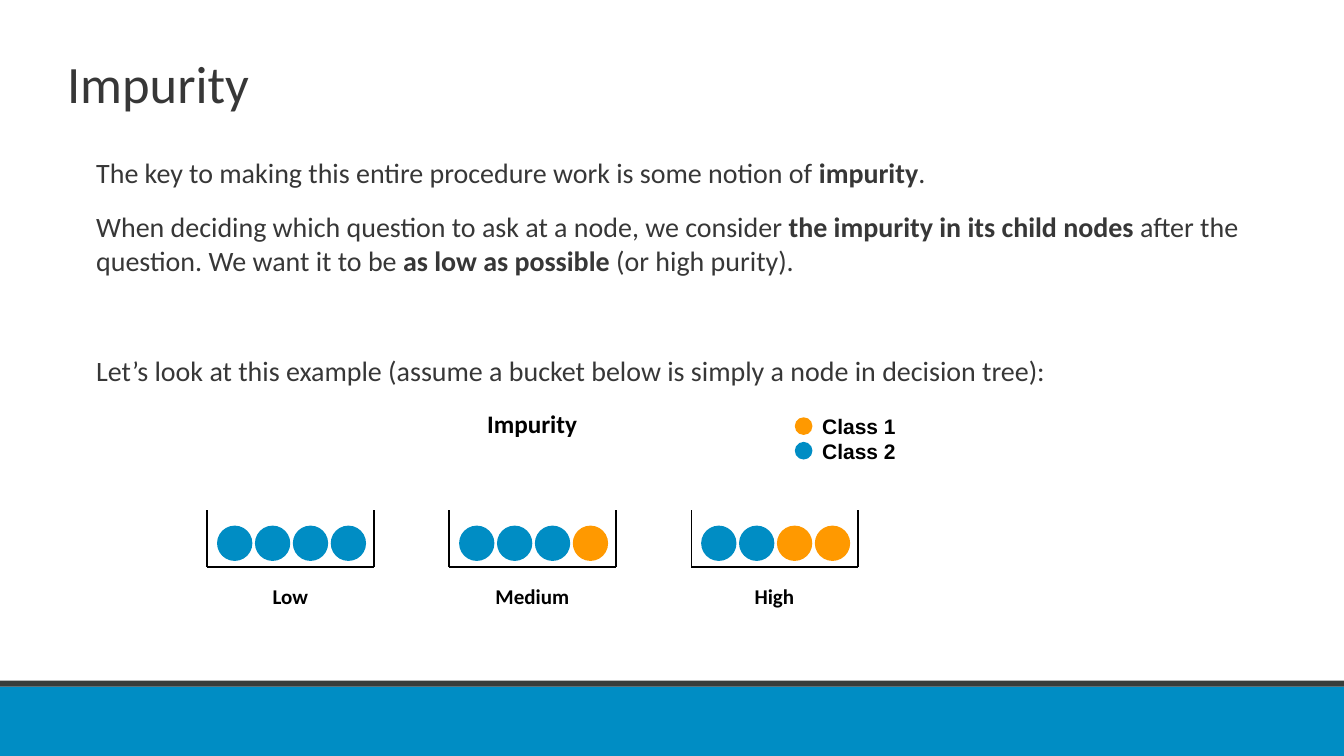
from dataclasses import dataclass

import pptx
import pptx.dml.color
import pptx.enum.shapes
import pptx.enum.text
import pptx.oxml
import pptx.oxml.ns
import pptx.util
from pptx.util import Cm

SHAPE = pptx.enum.shapes.MSO_SHAPE
ALIGN = pptx.enum.text.PP_ALIGN
ANCHOR = pptx.enum.text.MSO_ANCHOR

COLORS = {
    "class 1": "FF9900",
    "class 2": "008DC4",
    "band": "008DC4",
    "strip": "383D3B",
    "body": "373737",
    "label": "000000",
}
SLIDE_WIDTH, SLIDE_HEIGHT = 67.74, 38.1
INSET = 0.15
FRAME_FORMAT = {
    "margin_left": Cm(INSET),
    "margin_right": Cm(INSET),
    "margin_top": Cm(INSET),
    "margin_bottom": Cm(INSET),
    "word_wrap": True,
    "auto_size": pptx.enum.text.MSO_AUTO_SIZE.NONE,
}


@dataclass
class Box:
    left: float
    top: float
    width: float
    height: float

    def lengths(self) -> list:
        return [Cm(value) for value in (self.left, self.top, self.width, self.height)]


@dataclass
class Bucket:
    label: str
    class_1_count: int


@dataclass
class Paragraph:
    runs: list  # (text, bold) pairs
    space_before: float


def rgb(color: str):
    return pptx.dml.color.RGBColor.from_string(COLORS[color])


def apply_format(target, values: dict) -> None:
    for attribute, value in values.items():
        setattr(target, attribute, value)


def add_run(paragraph, text: str, size: float, color: str, bold: bool = False,
            font: str = "Calibri") -> None:
    run = paragraph.add_run()
    run.text = text
    apply_format(run.font, {"name": font, "size": pptx.util.Pt(size), "bold": bold})
    run.font.color.rgb = rgb(color)


def add_filled(slide, kind, box: Box, color: str) -> None:
    shape = slide.shapes.add_shape(kind, *box.lengths())
    shape.shadow.inherit = False
    shape.fill.solid()
    shape.fill.fore_color.rgb = rgb(color)
    shape.line.fill.background()


def add_label(slide, box: Box, text: str, size: float, font: str = "Calibri") -> None:
    frame = slide.shapes.add_textbox(*box.lengths()).text_frame
    apply_format(frame, FRAME_FORMAT | {"vertical_anchor": ANCHOR.MIDDLE})
    frame.paragraphs[0].alignment = ALIGN.CENTER
    add_run(frame.paragraphs[0], text, size, "label", True, font)


def add_line(slide, x1: float, y1: float, x2: float, y2: float) -> None:
    line = slide.shapes.add_connector(
        pptx.enum.shapes.MSO_CONNECTOR.STRAIGHT, Cm(x1), Cm(y1), Cm(x2), Cm(y2))
    line.line.width = pptx.util.Pt(2)
    line.line.color.rgb = rgb("label")
    line._element.spPr.append(pptx.oxml.parse_xml(
        f"<a:effectLst {pptx.oxml.ns.nsdecls('a')}/>"))


def add_title(slide, text: str) -> None:
    title = slide.shapes.title
    position = dict(zip(("left", "top", "width", "height"),
                        Box(3.23, 0.99, 62.97, 6.35).lengths()))
    apply_format(title, position)
    apply_format(title.text_frame, FRAME_FORMAT | {"vertical_anchor": ANCHOR.MIDDLE})
    heading = title.text_frame.paragraphs[0]
    heading.alignment = ALIGN.LEFT
    add_run(heading, text, 75, "body")


def add_body(slide, paragraphs: list[Paragraph]) -> None:
    frame = slide.shapes.add_textbox(*Box(4.7, 7.67, 58.34, 25.5).lengths()).text_frame
    apply_format(frame, FRAME_FORMAT)
    for index, content in enumerate(paragraphs):
        paragraph = frame.add_paragraph() if index else frame.paragraphs[0]
        paragraph.space_before = pptx.util.Pt(content.space_before)
        for text, bold in content.runs:
            add_run(paragraph, text, 40, "body", bold)


def add_bucket(slide, bucket: Bucket, left: float) -> None:
    right, rim, floor = left + 8.4, 25.7, 28.58
    add_line(slide, left, floor, right, floor)
    for side in (left, right):
        add_line(slide, side, floor, side, rim)
    ball_count, pitch, size = 4, 1.91, 1.78
    for index in range(ball_count):
        is_class_1 = index >= ball_count - bucket.class_1_count
        add_filled(slide, SHAPE.OVAL, Box(left + 0.5 + index * pitch, 26.49, size, size),
                   "class 1" if is_class_1 else "class 2")
    add_label(slide, Box(left + 1.47, 29.24, 5.44, 1.57), bucket.label, 30)


def main() -> None:
    deck = pptx.Presentation()
    deck.slide_width, deck.slide_height = Cm(SLIDE_WIDTH), Cm(SLIDE_HEIGHT)
    slide = deck.slides.add_slide(deck.slide_layouts[5])

    # Footer band
    add_filled(slide, SHAPE.RECTANGLE, Box(0, 34.6, SLIDE_WIDTH, 3.5), "band")
    add_filled(slide, SHAPE.RECTANGLE, Box(0, 34.3, SLIDE_WIDTH, 0.3), "strip")

    # Title and explanation
    add_title(slide, "Impurity")
    add_body(slide, [
        Paragraph([
            ("The key to making this entire procedure work is some notion of ", False),
            ("impurity", True), (".", False)], 0),
        Paragraph([
            ("When deciding which question to ask at a node, we consider ", False),
            ("the impurity in its child nodes ", True),
            ("after the question. We want it to be ", False),
            ("as low as possible ", True), ("(or high purity).", False)], 30),
        Paragraph([
            ("Let’s look at this example (assume a bucket below is simply "
             "a node in decision tree):", False)], 109),
    ])

    # Buckets from low to high impurity
    add_label(slide, Box(21.46, 20.42, 10.72, 1.83), "Impurity", 36)
    buckets = [Bucket("Low", 0), Bucket("Medium", 1), Bucket("High", 2)]
    for index, bucket in enumerate(buckets):
        add_bucket(slide, bucket, 10.44 + index * 12.2)

    # Legend
    for index, name in enumerate(("Class 1", "Class 2")):
        offset = index * 1.24
        add_filled(slide, SHAPE.OVAL, Box(40.06, 21.03 + offset, 0.89, 0.89), name.lower())
        add_label(slide, Box(40.94, 20.7 + offset, 4.7, 1.57), name, 30, "Arial")

    deck.save("out.pptx")


if __name__ == "__main__":
    main()
